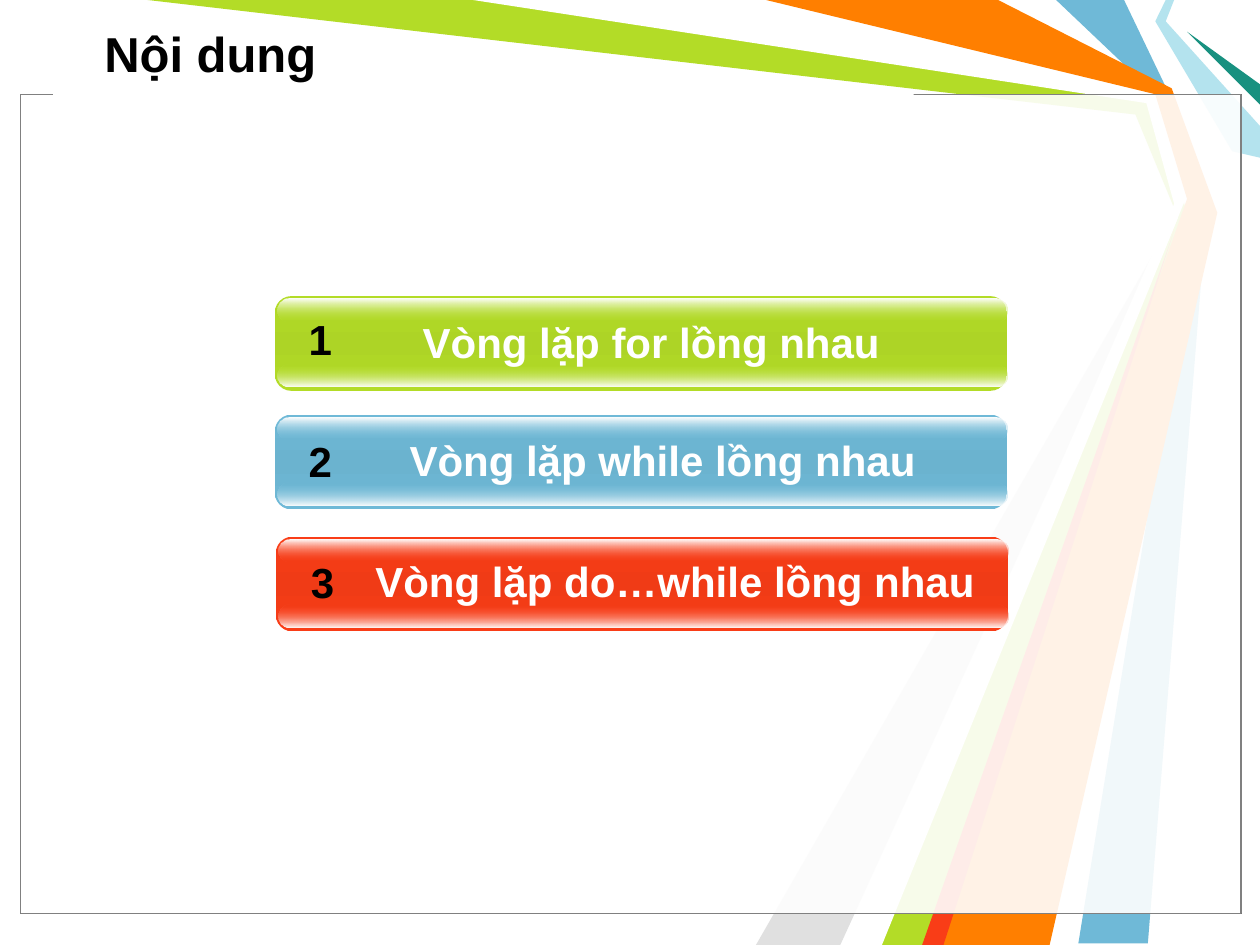
from lxml.etree import SubElement
from pptx import Presentation
from pptx.dml.color import RGBColor
from pptx.enum.shapes import MSO_SHAPE as SHAPE
from pptx.enum.text import MSO_ANCHOR as ANCHOR, PP_ALIGN as ALIGN
from pptx.oxml.ns import qn
from pptx.util import Cm, Pt

TITLE = "Nội dung"
RAYS = [
    ("6FB9D7", [(22.66, 0), (23.6, 1.96), (24.33, 4.24), (23.14, 19.02),
                (21.74, 19.02), (24.13, 4.24), (23.29, 1.9), (21.29, 0)]),
    ("B3DC27", [(2.97, 0), (9.73, 0), (23.22, 1.98), (23.93, 4.29),
                (18.85, 19.05), (17.58, 19.05), (23.75, 4.39), (22.89, 2.31)]),
    ("E0E0E0", [(16.94, 19.05), (23.55, 4.6), (15.24, 19.05)]),
    ("FFFFFF", [(9.53, 0), (23.11, 2.08), (23.67, 4.11), (17.15, 19.05),
                (17.78, 19.05), (23.9, 4.01), (23.29, 1.9), (15.24, 0)]),
    ("B4E3EE", [(23.5, 0), (23.29, 0.43), (24.84, 3.05), (25.4, 3.18),
                (25.4, 2.54), (23.5, 0.43), (23.67, 0)]),
    ("189180", [(25.4, 2.11), (23.93, 0.64), (25.4, 1.7)]),
    ("FF7F00", [(15.44, 0), (20.12, 0), (23.62, 1.78), (24.54, 4.29),
                (21.16, 19.05), (18.62, 19.05), (23.93, 4.01), (23.29, 1.9)]),
    ("F93D17", [(18.59, 19.05), (23.67, 4.65), (19.02, 19.05)]),
]
PANEL = (0.41, 1.91, 24.61, 16.51)
PANEL_LINES = ["000000", "808080"]
TITLE_GAP = (1.07, 1.88, 17.35, 0.43)
BARS = [
    dict(text="Vòng lặp for lồng nhau", color="B3DC27", mid="ADD426",
         at=(5.54, 5.97), label=(6.88, 6.25, 12.5), number=(5.92, 6.2)),
    dict(text="Vòng lặp while lồng nhau", color="6FB9D7", mid="6BB3CF",
         at=(5.54, 8.36), label=(7.11, 8.64, 12.5), number=(5.92, 8.66)),
    dict(text="Vòng lặp do…while lồng nhau", color="F93D17", mid="F03B16",
         at=(5.56, 10.82), label=(7.11, 11.07, 13), number=(5.97, 11.1)),
]
BAR_W, BAR_H = 14.76, 1.91
GLOSS_W, GLOSS_H, GLOSS_INSET = 14.71, 0.46, 0.05
GLOSS_BOTTOM = 1.37
TEXT_H, NUMBER_W = 1.27, 1.07
HANG = Cm(1.27)


def rgb(value):
    return RGBColor.from_string(value)


def solid(s, color, alpha=100):
    s.shadow.inherit = False
    s.line.fill.background()
    s.fill.solid()
    s.fill.fore_color.rgb = rgb(color)
    if alpha < 100:
        clr = s._element.spPr.find(f".//{qn('a:srgbClr')}")
        SubElement(clr, qn("a:alpha"), val=str(alpha * 1000))


def add_ray(shapes, color, points):
    start, *rest = [(Cm(x), Cm(y)) for x, y in points]
    builder = shapes.build_freeform(*start)
    builder.add_line_segments(rest, close=True)
    solid(builder.convert_to_shape(), color)


def add_rect(shapes, box, color, alpha=100):
    s = shapes.add_shape(SHAPE.RECTANGLE, *map(Cm, box))
    solid(s, color, alpha)
    return s


def add_round(shapes, box, corner, stops):
    s = shapes.add_shape(SHAPE.ROUNDED_RECTANGLE, *map(Cm, box))
    s.adjustments[0] = corner
    s.shadow.inherit = False
    s.line.fill.background()
    s.fill.gradient()
    s.fill.gradient_angle = 270
    gs_list = s._element.spPr.find(f".//{qn('a:gsLst')}")
    for gs in list(gs_list):
        gs_list.remove(gs)
    for pos, color, alpha in stops:
        gs = SubElement(gs_list, qn("a:gs"), pos=str(pos * 1000))
        clr = SubElement(gs, qn("a:srgbClr"), val=color)
        if alpha < 100:
            SubElement(clr, qn("a:alpha"), val=str(alpha * 1000))


def write(tf, text, size, color, align):
    tf.word_wrap = True
    p = tf.paragraphs[0]
    p.alignment = align
    r = p.add_run()
    r.text = text
    for name, value in dict(name="Arial", size=Pt(size), bold=True).items():
        setattr(r.font, name, value)
    r.font.color.rgb = rgb(color)
    return p


def add_text(shapes, box, text, color):
    tf = shapes.add_textbox(*map(Cm, box)).text_frame
    return write(tf, text, 24, color, ALIGN.CENTER)


def add_bar(shapes, number, bar):
    x, y = bar["at"]
    color = bar["color"]
    add_round(shapes, (x, y, BAR_W, BAR_H), 0.175,
              [(0, color, 100), (50, bar["mid"], 100), (100, color, 100)])
    glosses = [
        (GLOSS_BOTTOM, [(0, color, 0), (100, "FFFFFF", 100)]),
        (GLOSS_INSET, [(0, "FFFFFF", 100), (100, color, 0)]),
    ]
    for dy, stops in glosses:
        add_round(shapes, (x + GLOSS_INSET, y + dy, GLOSS_W, GLOSS_H), 0.5, stops)
    p = add_text(shapes, (*bar["label"], TEXT_H), bar["text"], "FFFFFF")
    pPr = p._p.get_or_add_pPr()
    pPr.set("marL", str(HANG))
    pPr.set("indent", str(-HANG))
    add_text(shapes, (*bar["number"], NUMBER_W, TEXT_H), str(number), "000000")


def add_title(shapes):
    s = shapes.title
    box = dict(left=1.85, top=0.2, width=23.14, height=1.75)
    for name, value in box.items():
        setattr(s, name, Cm(value))
    s.text_frame.vertical_anchor = ANCHOR.MIDDLE
    write(s.text_frame, TITLE, 28, "000000", ALIGN.LEFT)
    shapes._spTree.append(s._element)


def main():
    prs = Presentation()
    prs.slide_width, prs.slide_height = Cm(25.4), Cm(19.05)
    shapes = prs.slides.add_slide(prs.slide_layouts[5]).shapes
    for color, points in RAYS:
        add_ray(shapes, color, points)
    for color in PANEL_LINES:
        s = add_rect(shapes, PANEL, "FFFFFF", 69)
        s.line.color.rgb = rgb(color)
        s.line.width = Pt(0.75)
    add_rect(shapes, TITLE_GAP, "FFFFFF")
    add_title(shapes)
    for number, bar in enumerate(BARS, 1):
        add_bar(shapes, number, bar)
    prs.save("out.pptx")


if __name__ == "__main__":
    main()
